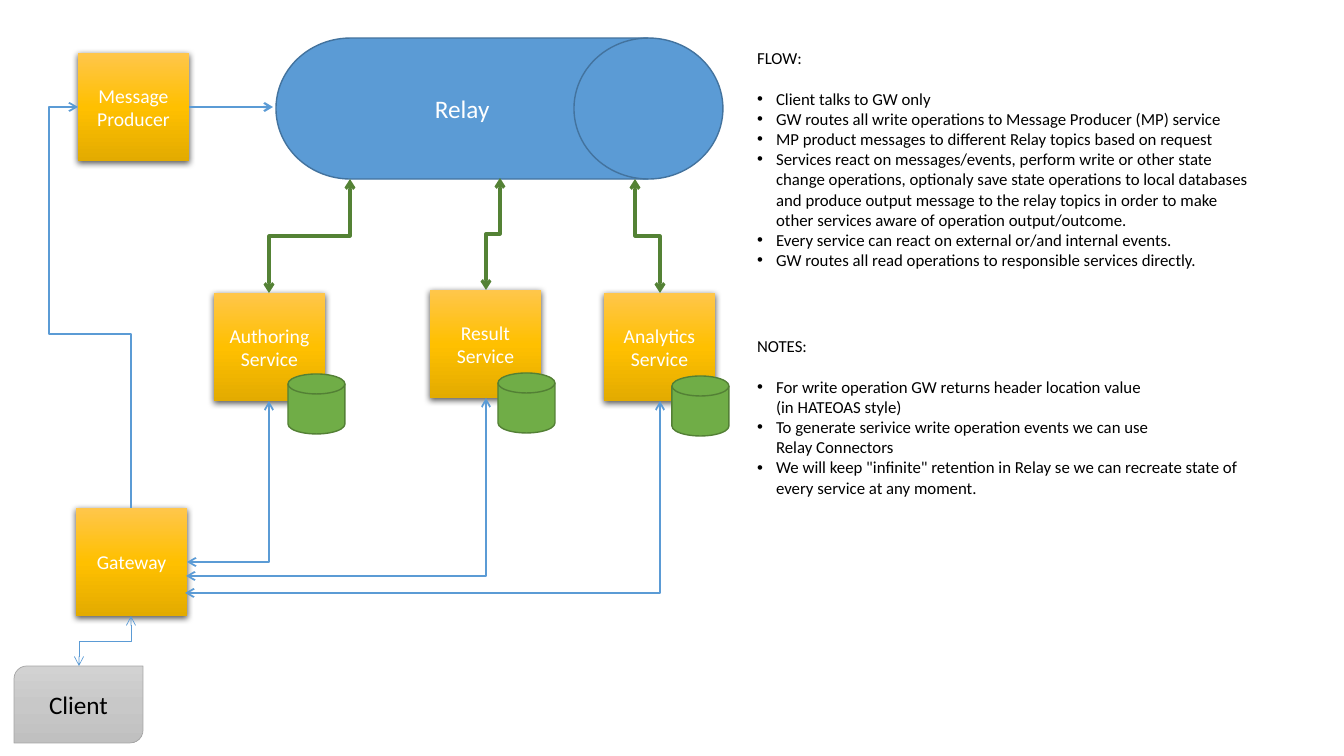
import pptx
import pptx.dml.color
import pptx.enum.shapes
import pptx.enum.text
import pptx.oxml.ns
import pptx.util
from lxml import etree

KIND = pptx.enum.shapes.MSO_SHAPE
LINK = pptx.enum.shapes.MSO_CONNECTOR
ALIGN = pptx.enum.text.PP_ALIGN
qn = pptx.oxml.ns.qn

SCALE = 914400 / 100.8
FONT = "Calibri"
BLUE, GREEN = "5B9BD5", "548235"
GOLD = ("FFC64B", "FFC000", "E3AB00")
GRAY = ("D2D2D2", "C8C8C8", "C0C0C0")

# Boxes: label, left, top
BOX_W, BOX_H = 111, 108
BOXES = [("Gateway", 76, 508), ("Message Producer", 78, 53),
         ("Authoring Service", 214, 293), ("Result Service", 430, 290),
         ("Analytics Service", 604, 293)]
DRUM = ("Relay", 276, 38, 447, 141)
CLIENT = ("Client", 14, 666, 129, 77)
DISK_W, DISK_H = 57, 60
DISKS = [(288, 374), (498, 373), (672, 376)]

# Routes: start, end, colour, line width
STEPS = [((350, 179), (269, 293), GREEN, 2.25),
         ((500, 178), (486, 290), GREEN, 2.25),
         ((660, 293), (635, 179), GREEN, 2.25),
         ((79, 666), (131, 616), BLUE, 0.5)]
READS = [((187, 562), (269, 401)), ((186, 576), (486, 398)),
         ((185, 593), (660, 401))]
WRITE = ((131, 508), (78, 107))
BENDS = (43300, 154100)

# Lists: place, heading, items made of lines
LISTS = [
    ((747, 43, 562, 252), "FLOW:", [
        ["Client talks to GW only"],
        ["GW routes all write operations to Message Producer (MP) service"],
        ["MP product messages to different Relay topics based on request"],
        ["Services react on messages/events, perform write or other state",
         "change operations, optionaly save state operations to local databases",
         "and produce output message to the relay topics in order to make",
         "other services aware of operation output/outcome."],
        ["Every service can react on external or/and internal events."],
        ["GW routes all read operations to responsible services directly."]]),
    ((747, 331, 551, 192), "NOTES:", [
        ["For write operation GW returns header location value",
         "(in HATEOAS style)"],
        ["To generate serivice write operation events we can use",
         "Relay Connectors"],
        ['We will keep "infinite" retention in Relay se we can recreate state of',
         "every service at any moment."]]),
]


def px(n):
    return pptx.util.Emu(round(n * SCALE))


def rgb(code):
    return pptx.dml.color.RGBColor.from_string(code)


def add(host, tag, **attrs):
    return etree.SubElement(host, qn(tag),
                            {key: str(val) for key, val in attrs.items()})


def write(para, text, size, color):
    run = para.add_run()
    run.text = text
    run.font.name = FONT
    run.font.size = pptx.util.Pt(size)
    run.font.color.rgb = rgb(color)


def shade(shape, colors):
    """Fill from top to bottom with evenly spaced colours."""
    shape.fill.gradient()
    shape.fill.gradient_angle = 270
    stops = next(shape._element.spPr.iter(qn("a:gsLst")))
    for stop in list(stops):
        stops.remove(stop)
    for i, color in enumerate(colors):
        stop = add(stops, "a:gs", pos=100000 * i // (len(colors) - 1))
        add(stop, "a:srgbClr", val=color)


def draw(slide, kind, place, fill, edge=None, width=1, label="",
         size=14, ink="FFFFFF"):
    shape = slide.shapes.add_shape(kind, *map(px, place))
    shape.shadow.inherit = False
    if isinstance(fill, tuple):
        shade(shape, fill)
    else:
        shape.fill.solid()
        shape.fill.fore_color.rgb = rgb(fill)
    if edge:
        shape.line.color.rgb = rgb(edge)
        shape.line.width = pptx.util.Pt(width)
    else:
        shape.line.fill.background()
    if label:
        frame = shape.text_frame
        frame.word_wrap = True
        frame.vertical_anchor = pptx.enum.text.MSO_ANCHOR.MIDDLE
        frame.paragraphs[0].alignment = ALIGN.CENTER
        write(frame.paragraphs[0], label, size, ink)
    return shape


def drop(shape):
    """Cast a soft shadow straight down."""
    cast = add(shape._element.spPr.find(qn("a:effectLst")), "a:outerShdw",
               blurRad=57150, dist=19050, dir=5400000, rotWithShape=0)
    add(add(cast, "a:srgbClr", val="000000"), "a:alpha", val=63000)


def join(slide, kind, start, end, color, width, both=True):
    line = slide.shapes.add_connector(kind, *map(px, start + end))
    line.line.color.rgb = rgb(color)
    line.line.width = pptx.util.Pt(width)
    edge = line._element.spPr.find(qn("a:ln"))
    if both:
        add(edge, "a:headEnd", type="arrow")
    add(edge, "a:tailEnd", type="arrow")
    add(line._element.spPr, "a:effectLst")
    return line


def climb(slide, start, end, color, width, both=True):
    """Draw an elbow that leaves its start vertically: a level one, turned."""
    (x1, y1), (x2, y2) = start, end
    mx, my = (x1 + x2) / 2, (y1 + y2) / 2
    down = y2 > y1
    half = abs(y2 - y1) / 2
    rise = (x1 - x2) / 2 if down else (x2 - x1) / 2
    line = join(slide, LINK.ELBOW, (mx - half, my - rise),
                (mx + half, my + rise), color, width, both)
    turn = (90 if down else 270) * 60000
    line._element.spPr.find(qn("a:xfrm")).set("rot", str(turn))
    return line


def reshape(line, preset, bends=()):
    geom = line._element.spPr.find(qn("a:prstGeom"))
    geom.set("prst", preset)
    for old in list(geom):
        geom.remove(old)
    guides = add(geom, "a:avLst")
    for i, bend in enumerate(bends, 1):
        add(guides, "a:gd", name=f"adj{i}", fmla=f"val {bend}")


def list_out(body, place, head, items):
    body.left, body.top, body.width, body.height = map(px, place)
    frame = body.text_frame
    frame.word_wrap = False
    frame.auto_size = pptx.enum.text.MSO_AUTO_SIZE.SHAPE_TO_FIT_TEXT
    for i, lines in enumerate([[head]] + items):
        para = frame.add_paragraph() if i else frame.paragraphs[0]
        para.alignment = ALIGN.LEFT
        para.font.size = pptx.util.Pt(12)
        para.space_before = pptx.util.Pt(0)
        para.space_after = pptx.util.Pt(0 if i else 14.5)
        props = para._p.pPr
        indent = px(19) if i else 0
        props.set("marL", str(indent))
        props.set("indent", str(-indent))
        mark = {"char": "•"} if i else {}
        bullet = add(props, "a:buChar" if i else "a:buNone", **mark)
        props.find(qn("a:defRPr")).addprevious(bullet)
        for j, text in enumerate(lines):
            if j:
                para.add_line_break()
                add(para._p[-1], "a:rPr", sz=1200)
            write(para, text, 12, "000000")


def main():
    deck = pptx.Presentation()
    deck.slide_width, deck.slide_height = px(1344), px(756)
    slide = deck.slides.add_slide(deck.slide_layouts[3])
    title, *bodies = slide.placeholders
    title._element.getparent().remove(title._element)
    for body, part in zip(bodies, LISTS):
        list_out(body, *part)
    draw(slide, KIND.FLOWCHART_DIRECT_ACCESS_STORAGE, DRUM[1:], BLUE,
         "43739E", 1, DRUM[0], 18)
    boxes = {}
    for label, *spot in BOXES:
        boxes[label] = draw(slide, KIND.RECTANGLE, (*spot, BOX_W, BOX_H),
                            GOLD, label=label)
        drop(boxes[label])
    for spot in DISKS:
        draw(slide, KIND.FLOWCHART_MAGNETIC_DISK, (*spot, DISK_W, DISK_H),
             "70AD47", "538035")
    draw(slide, KIND.ROUND_2_DIAG_RECTANGLE, CLIENT[1:], GRAY, "A5A5A5", 0.5,
         CLIENT[0], 18, "000000")
    for step in STEPS:
        climb(slide, *step)
    for ends in READS:
        reshape(join(slide, LINK.ELBOW, *ends, BLUE, 1.25), "bentConnector2")
    reshape(climb(slide, *WRITE, BLUE, 1.25, False), "bentConnector4", BENDS)
    feed = join(slide, LINK.STRAIGHT, (189, 107), (273, 107), BLUE, 1.5, False)
    feed.begin_connect(boxes["Message Producer"], 3)
    deck.save("out.pptx")


if __name__ == "__main__":
    main()
